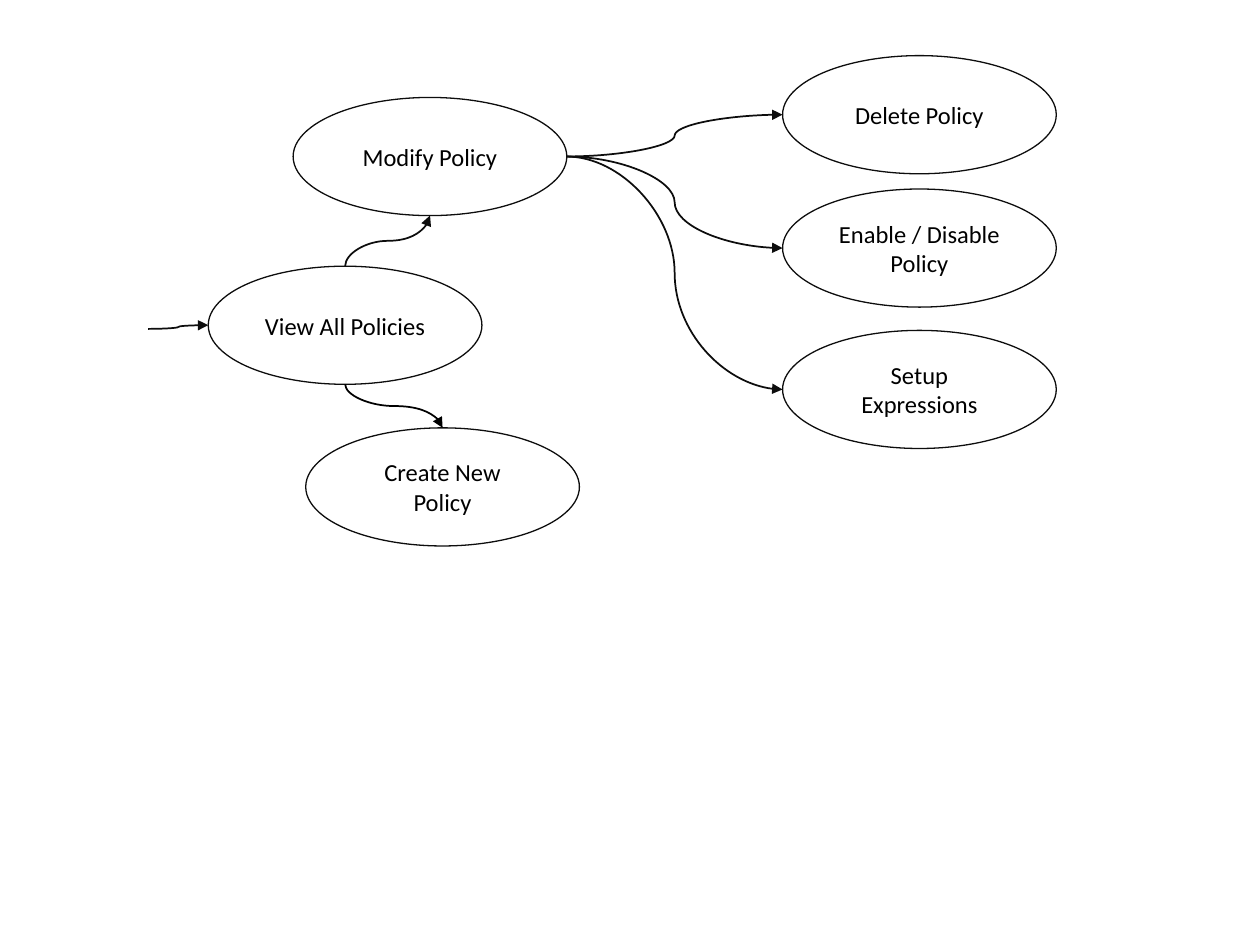
from lxml import etree
from pptx import Presentation
from pptx.dml.color import RGBColor
from pptx.enum.shapes import MSO_CONNECTOR, MSO_SHAPE
from pptx.enum.text import MSO_ANCHOR, PP_ALIGN
from pptx.oxml.ns import qn
from pptx.util import Pt

CURVE = MSO_CONNECTOR.CURVE
ELLIPSE = MSO_SHAPE.OVAL
MIDDLE = MSO_ANCHOR.MIDDLE
CENTER = PP_ALIGN.CENTER

NODE_WIDTH, NODE_HEIGHT = 156.4, 67.5
ACTION_LEFT = 447.2


def color(hex_string):
    return RGBColor.from_string(hex_string)


class FlowDiagram:
    font_name = "Calibri"
    font_size = 14
    text_color = "000000"
    line_color = "0D0D0D"

    def __init__(self, slide):
        self.slide = slide

    def node(self, text, left, top):
        shape = self.slide.shapes.add_shape(
            ELLIPSE, Pt(left), Pt(top), Pt(NODE_WIDTH), Pt(NODE_HEIGHT))
        shape.shadow.inherit = False
        shape.fill.background()
        shape.line.color.rgb = color(self.line_color)
        shape.line.width = Pt(0.75)
        frame = shape.text_frame
        frame.text = text
        frame.word_wrap = True
        frame.vertical_anchor = MIDDLE
        paragraph = frame.paragraphs[0]
        paragraph.alignment = CENTER
        font = paragraph.runs[0].font
        font.name = self.font_name
        font.size = Pt(self.font_size)
        font.color.rgb = color(self.text_color)

    def arrow(self, start, end, line_color=line_color):
        """Draw a curve that leaves and arrives horizontally."""
        connector = self.slide.shapes.add_connector(
            CURVE, *(Pt(value) for value in (*start, *end)))
        connector.line.color.rgb = color(line_color)
        connector.line.width = Pt(1)
        etree.SubElement(connector.line._get_or_add_ln(), qn("a:tailEnd"), type="triangle")
        etree.SubElement(connector.element.spPr, qn("a:effectLst"))
        return connector

    def vertical_arrow(self, start, end, line_color=line_color):
        """Draw a rightward curve that leaves and arrives vertically.

        It is a horizontal curve about the same centre, turned by a quarter.
        """
        center_x, center_y = (start[0] + end[0]) / 2, (start[1] + end[1]) / 2
        half_width = abs(end[1] - start[1]) / 2
        half_height = (end[0] - start[0]) / 2
        goes_up = end[1] < start[1]
        if not goes_up:
            half_height = -half_height
        connector = self.arrow(
            (center_x + half_width, center_y + half_height),
            (center_x - half_width, center_y - half_height), line_color)
        degrees = 90 if goes_up else 270
        connector.element.spPr.find(qn("a:xfrm")).set("rot", str(degrees * 60000))


def top_of(node):
    return node[0] + NODE_WIDTH / 2, node[1]


def bottom_of(node):
    return node[0] + NODE_WIDTH / 2, node[1] + NODE_HEIGHT


def left_of(node):
    return node[0], node[1] + NODE_HEIGHT / 2


def right_of(node):
    return node[0] + NODE_WIDTH, node[1] + NODE_HEIGHT / 2


def main():
    presentation = Presentation()
    presentation.slide_width, presentation.slide_height = Pt(720), Pt(540)
    diagram = FlowDiagram(presentation.slides.add_slide(presentation.slide_layouts[6]))

    view, modify, create = (119, 152.1), (167.5, 55.7), (174.7, 244.5)
    actions = {
        "Delete Policy": (ACTION_LEFT, 31.8),
        "Enable / Disable Policy": (ACTION_LEFT, 108),
        "Setup Expressions": (ACTION_LEFT, 188.8),
    }
    nodes = {
        "View All Policies": view,
        "Modify Policy": modify,
        "Create New Policy": create,
        **actions,
    }
    for text, position in nodes.items():
        diagram.node(text, *position)

    diagram.arrow((84.6, 188), left_of(view))
    diagram.vertical_arrow(top_of(view), bottom_of(modify))
    diagram.vertical_arrow(bottom_of(view), top_of(create), "000000")
    for action in actions.values():
        diagram.arrow(right_of(modify), left_of(action))

    presentation.save("out.pptx")


if __name__ == "__main__":
    main()
